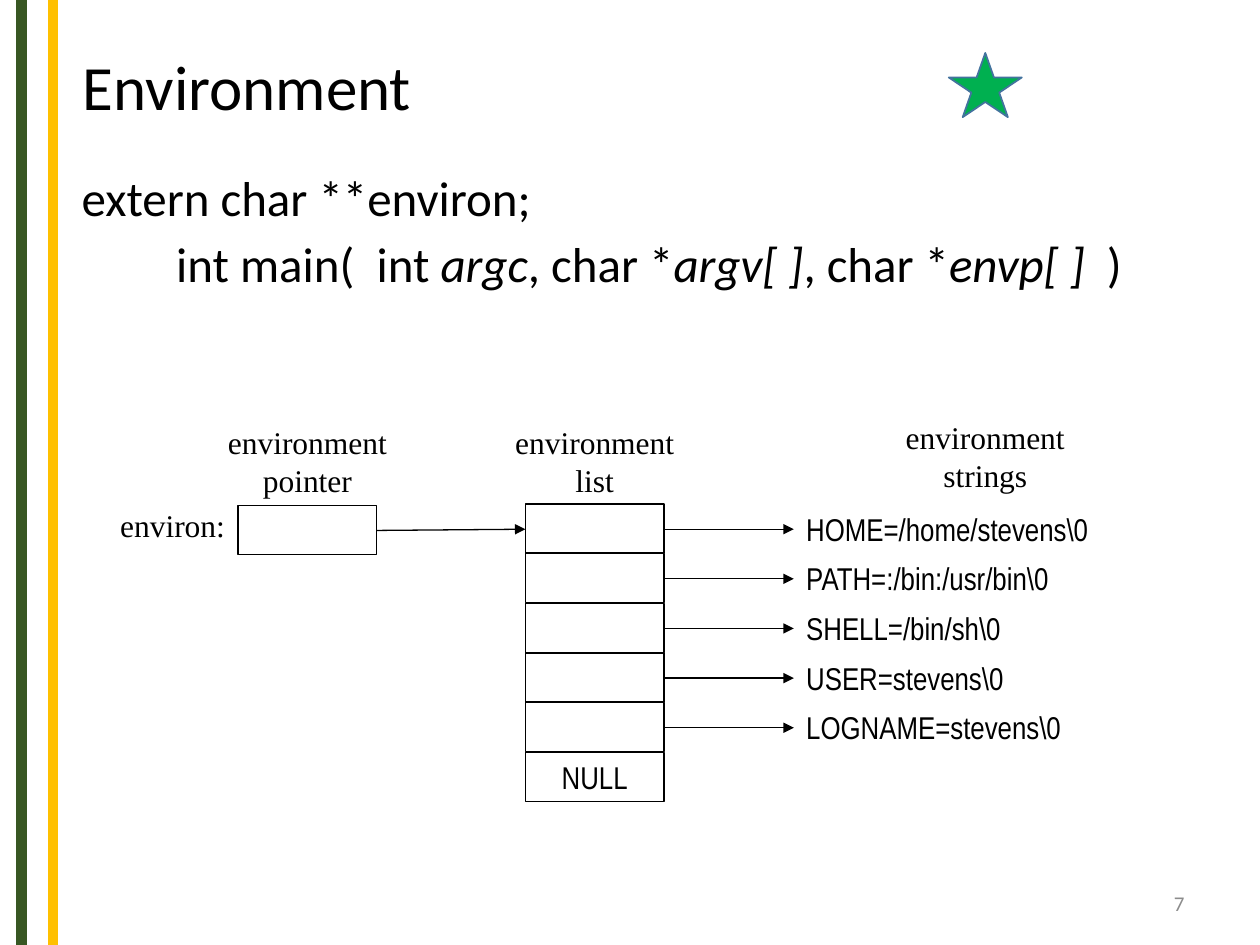
from lxml.etree import SubElement
from pptx import Presentation
from pptx.dml.color import RGBColor
from pptx.enum.shapes import MSO_CONNECTOR, MSO_SHAPE
from pptx.enum.text import MSO_ANCHOR, PP_ALIGN
from pptx.oxml.ns import qn
from pptx.util import Inches, Pt

BLACK = "000000"
SERIF = "Times New Roman"
NARROW = "Arial Narrow"
CELL_WIDTH, CELL_HEIGHT = 1.1, 0.39
ROW_STEP = 0.394
LIST_LEFT, LIST_TOP = 4.17, 4.0
STRINGS_LEFT = 6.3
STRINGS = [
    r"HOME=/home/stevens\0",
    r"PATH=:/bin:/usr/bin\0",
    r"SHELL=/bin/sh\0",
    r"USER=stevens\0",
    r"LOGNAME=stevens\0",
]
PROTOTYPE = [
    ("int main(  int ", False),
    ("argc", True),
    (", char *", False),
    ("argv[ ]", True),
    (", char *", False),
    ("envp[ ]  ", True),
    (")", False),
]


def colour(value):
    return RGBColor.from_string(value)


def write(frame, paragraphs, size=18, font=NARROW, fill=BLACK, align=PP_ALIGN.LEFT,
          anchor=MSO_ANCHOR.MIDDLE, wrap=True, line_spacing=None, gap=0):
    frame.word_wrap = wrap
    frame.vertical_anchor = anchor
    for index, spans in enumerate(paragraphs):
        para = frame.paragraphs[0] if index == 0 else frame.add_paragraph()
        para.alignment = align
        if line_spacing:
            para.line_spacing = line_spacing
        if index and gap:
            para.space_before = Pt(gap)
        for text, italic in spans:
            span = para.add_run()
            span.text = text
            span.font.size = Pt(size)
            span.font.name = font
            span.font.italic = italic
            span.font.color.rgb = colour(fill)


def add_text(page, lines, left, top, width, height, **style):
    box = page.shapes.add_textbox(Inches(left), Inches(top), Inches(width), Inches(height))
    write(box.text_frame, [[(line, False)] for line in lines], **style)
    return box


def add_label(page, lines, left, top, width, height):
    add_text(page, lines, left, top, width, height, font=SERIF,
             align=PP_ALIGN.CENTER, anchor=MSO_ANCHOR.TOP, wrap=False)


def add_prototypes(page):
    box = page.shapes.add_textbox(Inches(0.55), Inches(1.33), Inches(8.92), Inches(1.5))
    write(box.text_frame, [[("extern char **environ;", False)], PROTOTYPE], size=28,
          font="Calibri", anchor=MSO_ANCHOR.TOP, line_spacing=0.9, gap=7.5)
    properties = box.text_frame.paragraphs[1]._p.get_or_add_pPr()
    properties.set("marL", str(Inches(0.75)))


def add_figure(page, kind, left, top, width, height, fill=None, line=BLACK, weight=0.75):
    figure = page.shapes.add_shape(kind, Inches(left), Inches(top), Inches(width), Inches(height))
    figure.shadow.inherit = False
    if fill:
        figure.fill.solid()
        figure.fill.fore_color.rgb = colour(fill)
    else:
        figure.fill.background()
    figure.line.color.rgb = colour(line)
    figure.line.width = Pt(weight)
    return figure


def add_cell(page, left, top):
    return add_figure(page, MSO_SHAPE.RECTANGLE, left, top, CELL_WIDTH, CELL_HEIGHT)


def add_line(page, start, end, line=BLACK, weight=0.75, arrow=False):
    connector = page.shapes.add_connector(
        MSO_CONNECTOR.STRAIGHT, *(Inches(value) for value in start + end))
    connector.line.color.rgb = colour(line)
    connector.line.width = Pt(weight)
    if arrow:
        SubElement(connector.line._get_or_add_ln(), qn("a:tailEnd"), type="triangle")
    SubElement(connector._element.spPr, qn("a:effectLst"))


def add_environment_list(page):
    for row, text in enumerate(STRINGS):
        top = LIST_TOP + row * ROW_STEP
        middle = top + 0.2
        add_cell(page, LIST_LEFT, top)
        add_line(page, (LIST_LEFT + CELL_WIDTH, middle), (STRINGS_LEFT, middle), arrow=True)
        add_text(page, [text], STRINGS_LEFT, top, 3.31, CELL_HEIGHT)
    last = add_cell(page, LIST_LEFT, LIST_TOP + len(STRINGS) * ROW_STEP)
    write(last.text_frame, [[("NULL", False)]], align=PP_ALIGN.CENTER, wrap=False)


def main():
    deck = Presentation()
    deck.slide_width, deck.slide_height = Inches(10), Inches(7.5)
    page = deck.slides.add_slide(deck.slide_layouts[6])

    for left, line in ((0.17, "385723"), (0.42, "FFC000")):
        add_line(page, (left, 0), (left, 7.5), line=line, weight=6)
    add_text(page, ["Environment"], 0.56, 0.34, 8.97, 0.75,
             size=36, font="Calibri", line_spacing=0.9)
    add_prototypes(page)

    add_cell(page, 1.89, 4.01)
    add_line(page, (1.89 + CELL_WIDTH, 4.21), (LIST_LEFT, 4.2), arrow=True)
    add_environment_list(page)

    add_label(page, ["environ:"], 0.85, 3.97, 1.04, 0.4)
    for word, left, top in (("pointer", 1.7, 3.31), ("list", 3.98, 3.31), ("strings", 7.08, 3.27)):
        add_label(page, ["environment", word], left, top, 1.48, 0.71)

    add_text(page, ["7"], 7.42, 7, 2.08, 0.33, size=12, font="Calibri",
             fill="8C8C8C", align=PP_ALIGN.RIGHT)
    add_figure(page, MSO_SHAPE.STAR_5_POINT, 7.53, 0.42, 0.58, 0.51,
               fill="00B050", line="43739E", weight=1)
    deck.save("out.pptx")


if __name__ == "__main__":
    main()
